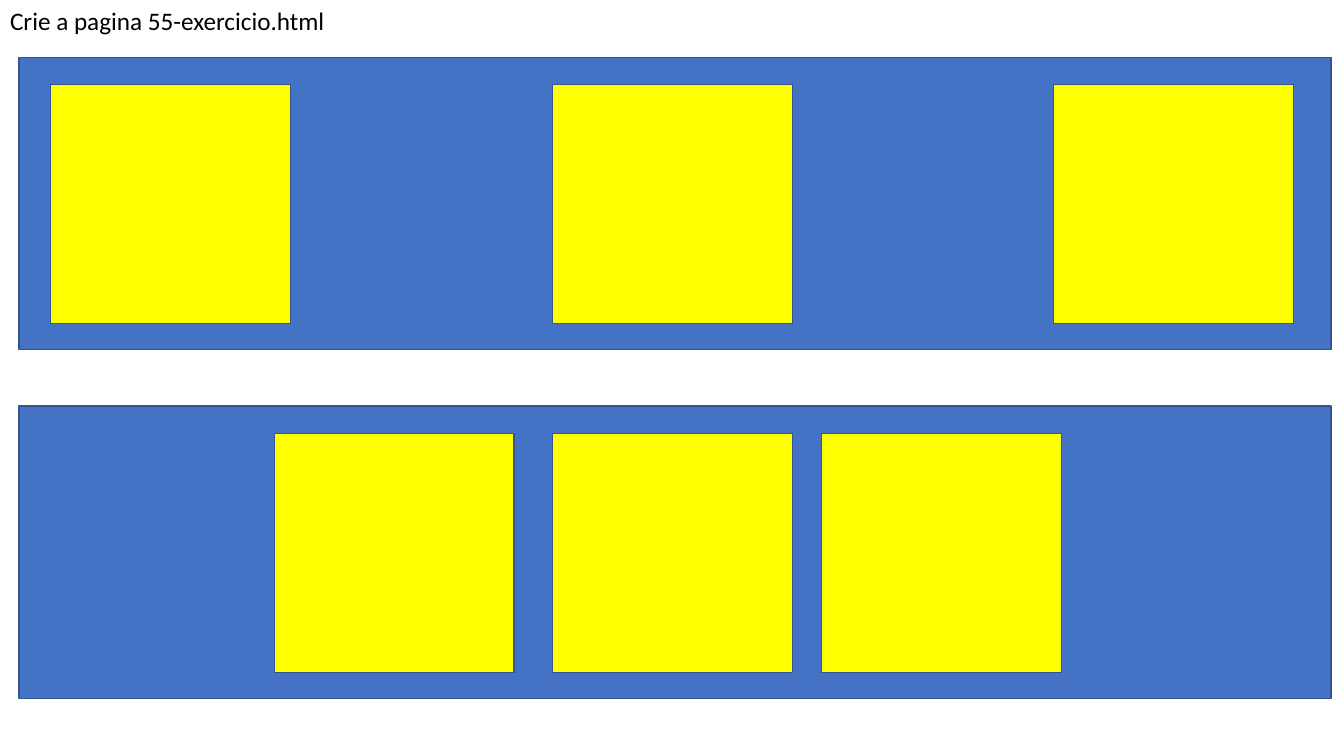
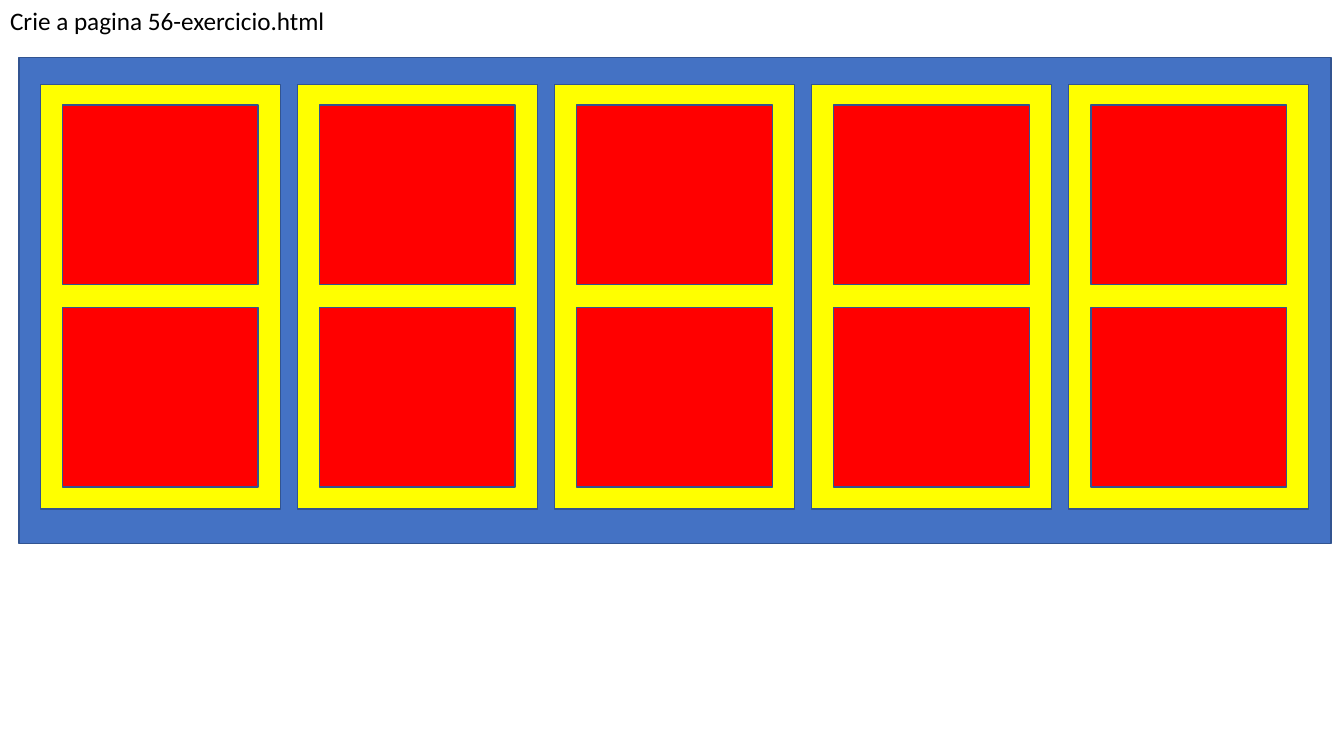
from dataclasses import dataclass

from pptx import Presentation
from pptx.dml.color import RGBColor
from pptx.enum.shapes import MSO_SHAPE
from pptx.enum.text import MSO_ANCHOR, MSO_AUTO_SIZE, PP_ALIGN
from pptx.presentation import Presentation as Deck
from pptx.shapes.shapetree import _BaseGroupShapes as ShapeTree
from pptx.slide import Slide
from pptx.util import Inches, Pt

RECTANGLE = MSO_SHAPE.RECTANGLE
LEFT = PP_ALIGN.LEFT
MIDDLE = MSO_ANCHOR.MIDDLE
NO_FIT = MSO_AUTO_SIZE.NONE
TITLE_ONLY = 5


@dataclass(frozen=True)
class Theme:
    font: str = "Calibri"
    title_size: int = 18
    line_width: int = 1
    text: RGBColor = RGBColor(0x00, 0x00, 0x00)
    outline: RGBColor = RGBColor(0x32, 0x54, 0x91)
    band: RGBColor = RGBColor(0x44, 0x72, 0xC4)
    card: RGBColor = RGBColor(0xFF, 0xFF, 0x00)
    tile: RGBColor = RGBColor(0xFF, 0x00, 0x00)


@dataclass(frozen=True)
class Box:
    """A rectangle in inches."""
    left: float
    top: float
    width: float
    height: float


@dataclass(frozen=True)
class CardRow:
    """A band and the left edges of the cards on it."""
    top: float
    card_lefts: tuple[float, ...]


THEME = Theme()
SLIDE_WIDTH, SLIDE_HEIGHT = 13.33, 7.5
TITLE = Box(0, 0, 3.36, 0.4)
BAND_LEFT, BAND_TOP, BAND_WIDTH = 0.19, 0.57, 13.01
CARD_WIDTH, CARD_INSET = 2.38, 0.27

# First page: spread cards above, gathered cards below
ROW_HEIGHT, ROW_CARD_HEIGHT = 2.9, 2.37
CARD_ROWS = (
    CardRow(BAND_TOP, (0.5, 5.48, 10.45)),
    CardRow(4.03, (2.72, 5.48, 8.15)),
)

# Second page: equal columns, each with two tiles
GRID_HEIGHT, COLUMN_HEIGHT = 4.82, 4.21
COLUMN_COUNT, COLUMN_LEFT, COLUMN_PITCH = 5, 0.4, 2.55
TILE_COUNT, TILE_PITCH = 2, 2.01
TILE_WIDTH, TILE_HEIGHT = 1.94, 1.78
TILE_TOP = 1.04


def add_page(deck: Deck, title: str) -> Slide:
    """Add a page with the shared small title at the top left."""
    page = deck.slides.add_slide(deck.slide_layouts[TITLE_ONLY])
    shape = page.shapes.title
    shape.left, shape.top = Inches(TITLE.left), Inches(TITLE.top)
    shape.width, shape.height = Inches(TITLE.width), Inches(TITLE.height)
    frame = shape.text_frame
    frame.word_wrap = False
    frame.auto_size = NO_FIT
    frame.vertical_anchor = MIDDLE
    para = frame.paragraphs[0]
    para.alignment = LEFT
    span = para.add_run()
    span.text = title
    span.font.name = THEME.font
    span.font.size = Pt(THEME.title_size)
    span.font.color.rgb = THEME.text
    return page


def add_rectangle(shapes: ShapeTree, box: Box, fill: RGBColor) -> None:
    """Draw one outlined rectangle on a page or in a group."""
    shape = shapes.add_shape(RECTANGLE, Inches(box.left), Inches(box.top),
                             Inches(box.width), Inches(box.height))
    shape.shadow.inherit = False
    shape.fill.solid()
    shape.fill.fore_color.rgb = fill
    shape.line.color.rgb = THEME.outline
    shape.line.width = Pt(THEME.line_width)


def add_band(page: Slide, top: float, height: float) -> None:
    add_rectangle(page.shapes, Box(BAND_LEFT, top, BAND_WIDTH, height), THEME.band)


def add_card_row(page: Slide, row: CardRow) -> None:
    add_band(page, row.top, ROW_HEIGHT)
    for left in row.card_lefts:
        card = Box(left, row.top + CARD_INSET, CARD_WIDTH, ROW_CARD_HEIGHT)
        add_rectangle(page.shapes, card, THEME.card)


def add_column(page: Slide, left: float) -> None:
    """Draw a card with its stacked tiles as one group."""
    group = page.shapes.add_group_shape()
    card = Box(left, BAND_TOP + CARD_INSET, CARD_WIDTH, COLUMN_HEIGHT)
    add_rectangle(group.shapes, card, THEME.card)
    tile_left = left + (CARD_WIDTH - TILE_WIDTH) / 2
    for index in range(TILE_COUNT):
        tile = Box(tile_left, TILE_TOP + index * TILE_PITCH, TILE_WIDTH, TILE_HEIGHT)
        add_rectangle(group.shapes, tile, THEME.tile)


def main() -> None:
    deck = Presentation()
    deck.slide_width, deck.slide_height = Inches(SLIDE_WIDTH), Inches(SLIDE_HEIGHT)

    rows_page = add_page(deck, "Crie a pagina 55-exercicio.html")
    for row in CARD_ROWS:
        add_card_row(rows_page, row)

    columns_page = add_page(deck, "Crie a pagina 56-exercicio.html")
    add_band(columns_page, BAND_TOP, GRID_HEIGHT)
    for index in range(COLUMN_COUNT):
        add_column(columns_page, COLUMN_LEFT + index * COLUMN_PITCH)

    deck.save("out.pptx")


if __name__ == "__main__":
    main()
